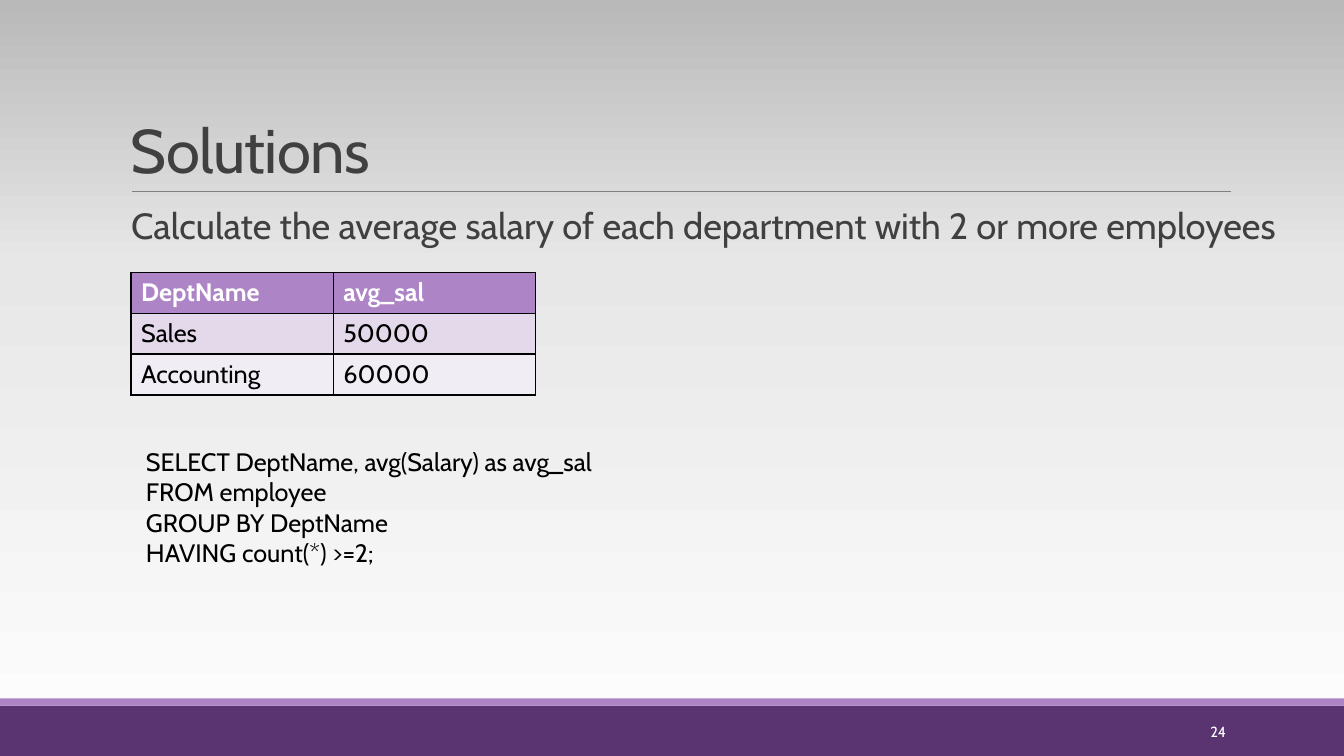
"""Build the slide on average salary by department."""
from dataclasses import dataclass

from lxml.etree import SubElement as Sub
from pptx import Presentation
from pptx.dml.color import RGBColor as RGB
from pptx.enum.shapes import MSO_CONNECTOR as Link, MSO_SHAPE as Shape
from pptx.enum.text import MSO_ANCHOR as Anchor, PP_ALIGN as Align
from pptx.oxml.ns import qn
from pptx.slide import Slide
from pptx.table import _Cell as Cell
from pptx.text.text import _Paragraph as Para
from pptx.util import Inches, Pt

FONT = "Cabin"
PLUM = RGB(0x5A, 0x34, 0x71)
LILAC = RGB(0xAD, 0x84, 0xC6)
MAUVE = RGB(0xE3, 0xD9, 0xEA)
PALE = RGB(0xF1, 0xED, 0xF5)
DARK = RGB(0x40, 0x40, 0x40)
GREY = RGB(0x80, 0x80, 0x80)
BLACK = RGB(0, 0, 0)
WHITE = RGB(0xFF, 0xFF, 0xFF)
FADE = [(0, RGB(0xFE, 0xFE, 0xFE)), (65, RGB(0xE7, 0xE7, 0xE7)),
        (100, RGB(0xB9, 0xB9, 0xB9))]


@dataclass
class Band:
    top: float
    height: float
    fill: RGB


@dataclass
class Text:
    box: tuple[float, float, float, float]
    lines: list[str]
    size: float
    ink: RGB
    anchor: Anchor = Anchor.TOP
    align: Align = Align.LEFT
    lead: float = 1.0
    before: float = 0
    after: float = 0
    inset: float = 0.1
    indent: float = 0
    track: int = 0


@dataclass
class Row:
    cells: list[str]
    fill: RGB
    ink: RGB = BLACK
    bold: bool = False


BANDS = [Band(7, 0.5, PLUM), Band(6.93, 0.07, LILAC)]
TEXTS = [
    Text((1.2, 0.31, 11, 1.59), ["Solutions"], 44, DARK,
         anchor=Anchor.BOTTOM, lead=0.85, track=-50),
    Text((1.2, 2.02, 11.51, 4.4),
         ["Calculate the average salary of each department with 2 or more employees"],
         26, DARK, lead=0.9, before=12, after=2, inset=0, indent=0.1),
    Text((10.83, 7.06, 1.43, 0.4), ["24"], 10.5, WHITE,
         anchor=Anchor.MIDDLE, align=Align.RIGHT),
    Text((1.35, 4.38, 7.2, 1.31),
         ["SELECT DeptName, avg(Salary) as avg_sal", "FROM employee",
          "GROUP BY DeptName", "HAVING count(*) >=2;"], 18, BLACK),
]
ROWS = [
    Row(["DeptName", "avg_sal"], LILAC, WHITE, True),
    Row(["Sales", "50000"], MAUVE),
    Row(["Accounting", "60000"], PALE),
]


def add_run(para: Para, text: str, size: float, ink: RGB,
            bold: bool = False, track: int = 0) -> None:
    run = para.add_run()
    run.text = text
    font = run.font
    font.name, font.size, font.bold = FONT, Pt(size), bold
    font.color.rgb = ink
    if track:
        run._r.get_or_add_rPr().set("spc", str(track))


def add_fade(slide: Slide) -> None:
    fill = slide.background.fill
    fill.gradient()
    fill.gradient_angle = 90
    stops = slide.element.find(".//" + qn("a:gsLst"))
    for stop in list(stops):
        stops.remove(stop)
    for place, tint in FADE:
        stop = Sub(stops, qn("a:gs"), pos=str(place * 1000))
        Sub(stop, qn("a:srgbClr"), val=str(tint))


def add_band(slide: Slide, band: Band) -> None:
    shape = slide.shapes.add_shape(
        Shape.RECTANGLE, 0, Inches(band.top), Inches(13.33), Inches(band.height))
    shape.shadow.inherit = False
    shape.fill.solid()
    shape.fill.fore_color.rgb = band.fill
    shape.line.fill.background()


def add_rule(slide: Slide) -> None:
    rule = slide.shapes.add_connector(
        Link.STRAIGHT, Inches(1.31), Inches(1.9), Inches(12.21), Inches(1.9))
    rule.line.color.rgb = GREY
    rule.line.width = Pt(0.5)
    Sub(rule._element.spPr, qn("a:effectLst"))


def add_text(slide: Slide, text: Text) -> None:
    frame = slide.shapes.add_textbox(*map(Inches, text.box)).text_frame
    frame.word_wrap = True
    frame.vertical_anchor = text.anchor
    frame.margin_left = frame.margin_right = Inches(text.inset)
    for i, line in enumerate(text.lines):
        para = frame.add_paragraph() if i else frame.paragraphs[0]
        para.alignment = text.align
        para.line_spacing = text.lead
        para.space_before, para.space_after = Pt(text.before), Pt(text.after)
        if text.indent:
            para._p.get_or_add_pPr().set("marL", str(Inches(text.indent)))
        add_run(para, line, text.size, text.ink, track=text.track)


def add_edge(cell: Cell) -> None:
    props = cell._tc.get_or_add_tcPr()
    for i, side in enumerate(("lnL", "lnR", "lnT", "lnB")):
        edge = props.makeelement(qn("a:" + side), {"w": str(Pt(1))})
        Sub(Sub(edge, qn("a:solidFill")), qn("a:srgbClr"), val=str(BLACK))
        props.insert(i, edge)


def add_grid(slide: Slide) -> None:
    table = slide.shapes.add_table(
        len(ROWS), 2, Inches(1.3), Inches(2.7), Inches(4.01), Inches(1.22)).table
    for r, row in enumerate(ROWS):
        for c, word in enumerate(row.cells):
            cell = table.cell(r, c)
            cell.fill.solid()
            cell.fill.fore_color.rgb = row.fill
            add_run(cell.text_frame.paragraphs[0], word, 18, row.ink, row.bold)
            add_edge(cell)


def main() -> None:
    deck = Presentation()
    deck.slide_width, deck.slide_height = Inches(13.33), Inches(7.5)
    slide = deck.slides.add_slide(deck.slide_layouts[6])
    add_fade(slide)
    for band in BANDS:
        add_band(slide, band)
    add_rule(slide)
    for text in TEXTS:
        add_text(slide, text)
    add_grid(slide)
    deck.save("out.pptx")


if __name__ == "__main__":
    main()
